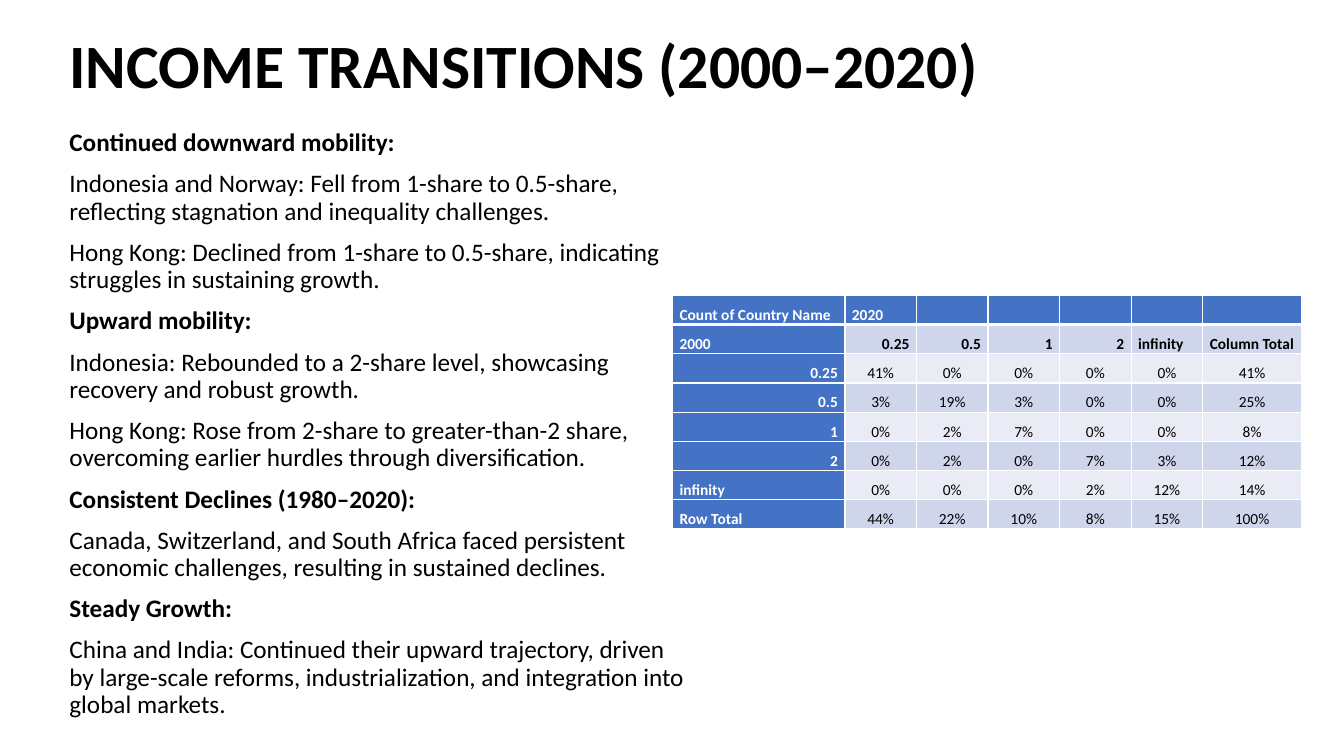
from lxml import etree
from pptx import Presentation
from pptx.dml.color import RGBColor
from pptx.enum.text import MSO_ANCHOR, MSO_AUTO_SIZE, PP_ALIGN
from pptx.oxml.ns import qn
from pptx.util import Pt

LEFT, RIGHT, CENTER = PP_ALIGN.LEFT, PP_ALIGN.RIGHT, PP_ALIGN.CENTER
MIDDLE, BOTTOM = MSO_ANCHOR.MIDDLE, MSO_ANCHOR.BOTTOM
NO_FIT = MSO_AUTO_SIZE.NONE

TITLE = "INCOME TRANSITIONS (2000–2020)"
POINTS = [
    ("Continued downward mobility:", [
        "Indonesia and Norway: Fell from 1-share to 0.5-share, reflecting stagnation and inequality challenges.",
        "Hong Kong: Declined from 1-share to 0.5-share, indicating struggles in sustaining growth.",
    ]),
    ("Upward mobility:", [
        "Indonesia: Rebounded to a 2-share level, showcasing recovery and robust growth.",
        "Hong Kong: Rose from 2-share to greater-than-2 share, overcoming earlier hurdles through diversification.",
    ]),
    ("Consistent Declines (1980–2020):", [
        "Canada, Switzerland, and South Africa faced persistent economic challenges, resulting in sustained declines.",
    ]),
    ("Steady Growth:", [
        "China and India: Continued their upward trajectory, driven by large-scale reforms, "
        "industrialization, and integration into global markets.",
    ]),
]
SHARES = [
    ["Count of Country Name", "2020", "", "", "", "", ""],
    ["2000", "0.25", "0.5", "1", "2", "infinity", "Column Total"],
    ["0.25", "41%", "0%", "0%", "0%", "0%", "41%"],
    ["0.5", "3%", "19%", "3%", "0%", "0%", "25%"],
    ["1", "0%", "2%", "7%", "0%", "0%", "8%"],
    ["2", "0%", "2%", "0%", "7%", "3%", "12%"],
    ["infinity", "0%", "0%", "0%", "2%", "12%", "14%"],
    ["Row Total", "44%", "22%", "10%", "8%", "15%", "100%"],
]
COLS = [171] + [71] * 5 + [98]
ROW = 29
PAD = 7

FONT = "Calibri"
BLACK, WHITE, BLUE = "000000", "FFFFFF", "4472C4"
BANDS = ["E9EBF5", "CFD5EA"]
SCALE = 9144  # EMU per px, at 100 px to the inch


def px(num):
    return num * SCALE


def rgb(code):
    return RGBColor.from_string(code)


def add_run(para, text, size, color=BLACK, bold=False):
    run = para.add_run()
    run.text = text
    font = run.font
    font.name, font.size, font.bold = FONT, Pt(size), bold
    font.color.rgb = rgb(color)


def add_edges(cell, head):
    """Draw white cell borders, thick on the line below the header."""
    props = cell._tc.get_or_add_tcPr()
    thick = {0: "lnB", 1: "lnT"}.get(head)
    for side in ("lnL", "lnR", "lnT", "lnB"):
        width = Pt(3 if side == thick else 1)
        line = etree.SubElement(props, qn("a:" + side), w=str(width))
        fill = etree.SubElement(line, qn("a:solidFill"))
        etree.SubElement(fill, qn("a:srgbClr"), val=WHITE)


def align(text, row, col):
    if row > 1 and col:
        return CENTER
    number = text.replace(".", "").isdigit()
    corner = row == 0 or (row == 1 and col == 0)
    return RIGHT if number and not corner else LEFT


def fill_cell(cell, text, row, col):
    blue = row == 0 or col == 0
    add_edges(cell, row)
    cell.fill.solid()
    cell.fill.fore_color.rgb = rgb(BLUE if blue else BANDS[row % 2])
    cell.margin_left = cell.margin_right = px(PAD)
    cell.margin_top = cell.margin_bottom = 0
    cell.vertical_anchor = BOTTOM
    para = cell.text_frame.paragraphs[0]
    para.alignment = align(text, row, col)
    para.line_spacing, para.space_after = 1.07, Pt(8)
    if text:
        add_run(para, text, 11, WHITE if blue else BLACK, blue or row == 1)
    else:
        etree.SubElement(para._p, qn("a:endParaRPr"), sz="1100")


def add_title(slide):
    title = slide.shapes.title
    title.left, title.top, title.width, title.height = map(px, (59, 31, 1150, 75))
    frame = title.text_frame
    frame.auto_size, frame.vertical_anchor = NO_FIT, MIDDLE
    para = frame.paragraphs[0]
    para.alignment, para.line_spacing = LEFT, 0.9
    add_run(para, TITLE, 44, bold=True)


def add_points(slide):
    frame = slide.shapes.add_textbox(*map(px, (59, 124, 633, 596))).text_frame
    frame.word_wrap = True
    lines = []
    for head, items in POINTS:
        lines += [(head, True)] + [(item, False) for item in items]
    for num, (text, bold) in enumerate(lines):
        para = frame.add_paragraph() if num else frame.paragraphs[0]
        para.line_spacing, para.space_before = 0.9, Pt(10)
        add_run(para, text, 18, bold=bold)


def add_shares(slide):
    size = len(SHARES), len(COLS)
    box = map(px, (667, 293, sum(COLS), ROW * len(SHARES)))
    table = slide.shapes.add_table(*size, *box).table
    for col, width in enumerate(COLS):
        table.columns[col].width = px(width)
    for row, texts in enumerate(SHARES):
        table.rows[row].height = px(ROW)
        for col, text in enumerate(texts):
            fill_cell(table.cell(row, col), text, row, col)


def main():
    deck = Presentation()
    deck.slide_width, deck.slide_height = px(1333), px(750)
    slide = deck.slides.add_slide(deck.slide_layouts[5])
    add_title(slide)
    add_points(slide)
    add_shares(slide)
    deck.save("out.pptx")


if __name__ == "__main__":
    main()
